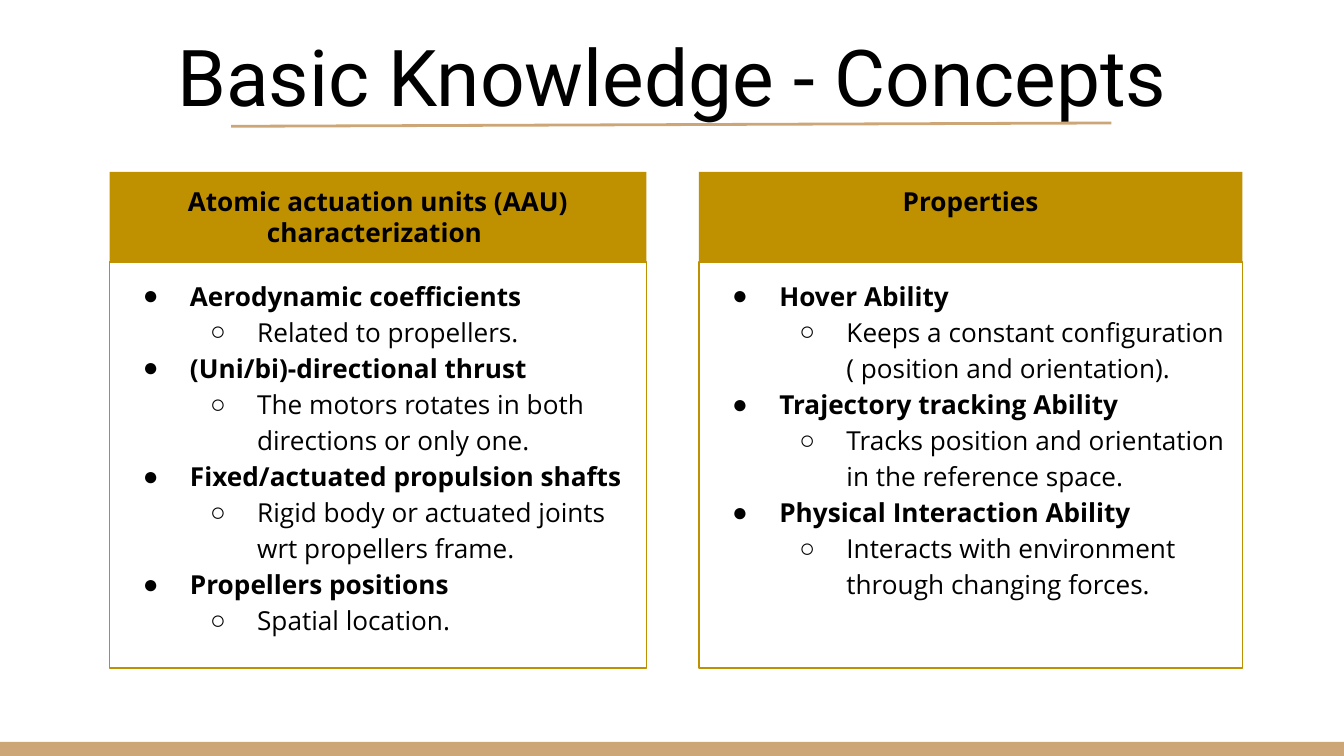
"""Build a slide with two titled panels of basic concepts."""
from lxml import etree
from pptx import Presentation
from pptx import util as u
from pptx.dml import color as c
from pptx.enum import shapes, text
from pptx.oxml import ns

PX = 4572
GOLD, TAN, BLACK = "BF9000", "CCA677", "000000"
BULLETS = "●○"


def colour(value):
    return c.RGBColor.from_string(value)


def style(shape, fill=None, line=None, anchor=text.MSO_ANCHOR.TOP, lines=(), size=14, name="Open Sans"):
    shape.shadow.inherit = False
    if fill:
        shape.fill.solid()
        shape.fill.fore_color.rgb = colour(fill)
    else:
        shape.fill.background()
    if line:
        shape.line.color.rgb = colour(line)
        shape.line.width = u.Pt(0.75)
    else:
        shape.line.fill.background()
    frame = shape.text_frame
    margins = {f"margin_{side}": 20 * PX for side in ("left", "top", "right", "bottom")}
    for key, value in {"word_wrap": True, "vertical_anchor": anchor, **margins}.items():
        setattr(frame, key, value)
    for index, (words, bold, level) in enumerate(lines):
        paragraph = frame.add_paragraph() if index else frame.paragraphs[0]
        if level is None:
            paragraph.alignment = text.PP_ALIGN.CENTER
        else:
            for key, value in {"alignment": text.PP_ALIGN.LEFT, "level": level, "line_spacing": 1.15}.items():
                setattr(paragraph, key, value)
            properties = paragraph._p.get_or_add_pPr()
            properties.set("marL", str(100 * (level + 1) * PX))
            properties.set("indent", str(-70 * PX))
            bullet_colour = etree.SubElement(properties, ns.qn("a:buClr"))
            etree.SubElement(bullet_colour, ns.qn("a:srgbClr"), val=BLACK)
            etree.SubElement(properties, ns.qn("a:buFont"), typeface="Arial")
            etree.SubElement(properties, ns.qn("a:buChar"), char=BULLETS[level])
        run = paragraph.add_run()
        run.text = words
        for key, value in {"size": u.Pt(size), "name": name, "bold": bold}.items():
            setattr(run.font, key, value)
        run.font.color.rgb = colour(BLACK)


presentation = Presentation()
presentation.slide_width, presentation.slide_height = 2000 * PX, 1125 * PX
slide = presentation.slides.add_slide(presentation.slide_layouts[6])
rectangle = shapes.MSO_SHAPE.RECTANGLE

footer = slide.shapes.add_shape(rectangle, 0, 1104 * PX, 2000 * PX, 21 * PX)
style(footer, fill=TAN)

title = slide.shapes.add_textbox(68 * PX, 20 * PX, 1864 * PX, 182 * PX)
style(title, anchor=text.MSO_ANCHOR.BOTTOM, lines=[("Basic Knowledge - Concepts", False, None)], size=42, name="Roboto")

underline = slide.shapes.add_connector(shapes.MSO_CONNECTOR.STRAIGHT, 344 * PX, 188 * PX, 1654 * PX, 183 * PX)
underline.line.color.rgb = colour(TAN)
underline.line.width = u.Pt(1.5)
etree.SubElement(underline._element.spPr, ns.qn("a:effectLst"))

panels = [
    (1040, 809, "Properties", [
        ("Hover Ability", "Keeps a constant configuration ( position and orientation)."),
        ("Trajectory tracking Ability", "Tracks position and orientation in the reference space."),
        ("Physical Interaction Ability", "Interacts with environment through changing forces."),
    ]),
    (163, 799, "Atomic actuation units (AAU) characterization ", [
        ("Aerodynamic coefficients", "Related to propellers."),
        ("(Uni/bi)-directional thrust", "The motors rotates in both directions or only one."),
        ("Fixed/actuated propulsion shafts", "Rigid body or actuated joints wrt propellers frame."),
        ("Propellers positions", "Spatial location."),
    ]),
]
for left, width, heading, concepts in panels:
    body = slide.shapes.add_shape(rectangle, left * PX, 390 * PX, width * PX, 604 * PX)
    lines = [(words, level == 0, level) for concept in concepts for level, words in enumerate(concept)]
    style(body, line=GOLD, lines=lines)
    header = slide.shapes.add_shape(rectangle, left * PX, 256 * PX, width * PX, 134 * PX)
    style(header, fill=GOLD, lines=[(heading, True, None)])

presentation.save("out.pptx")
